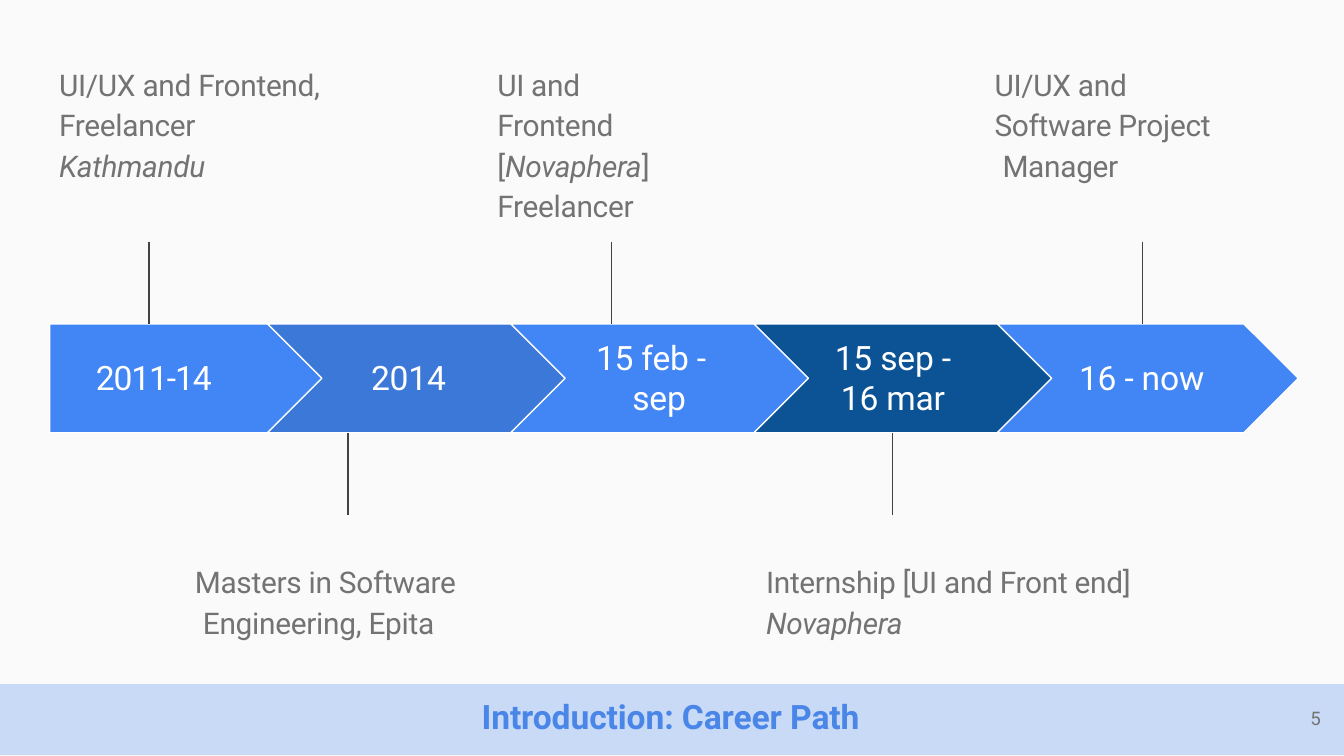
from dataclasses import dataclass

from pptx import Presentation
from pptx.dml.color import RGBColor
from pptx.enum.shapes import MSO_CONNECTOR, MSO_SHAPE
from pptx.enum.text import MSO_ANCHOR, PP_ALIGN
from pptx.oxml.ns import qn
from pptx.util import Inches, Pt
from lxml import etree

STRAIGHT = MSO_CONNECTOR.STRAIGHT
PENTAGON, CHEVRON, RECTANGLE = MSO_SHAPE.PENTAGON, MSO_SHAPE.CHEVRON, MSO_SHAPE.RECTANGLE
MIDDLE = MSO_ANCHOR.MIDDLE
LEFT, CENTER = PP_ALIGN.LEFT, PP_ALIGN.CENTER


@dataclass(frozen=True)
class Theme:
    font: str = "Roboto"
    paper: str = "FAFAFA"
    white: str = "FFFFFF"
    blue: str = "4285F4"
    mid_blue: str = "3C78D8"
    dark_blue: str = "0B5394"
    band: str = "C9DAF7"
    title: str = "4A86E7"
    grey: str = "737373"
    stem: str = "424242"
    heading_size: int = 18
    caption_size: int = 16
    number_size: int = 10
    hairline: float = 0.75


T = Theme()

# Timeline geometry in inches
ARROW_TOP, ARROW_H = 2.41, 0.81
FIRST_LEFT, FIRST_W = 0.37, 2.05
CHEVRON_LEFT, CHEVRON_W, CHEVRON_STEP = 1.99, 2.24, 1.81
STEM_H = 0.61
ABOVE_TOP, BELOW_TOP = 0.45, 4.15

# Period lines, fill, letter spacing in points, right margin, indent of the last line
PERIODS = [
    (["2011-14"], T.blue, -0.6, 0.3, 0),
    (["2014"], T.mid_blue, -0.1, 0.14, 0),
    (["15 feb -", "sep"], T.blue, -0.1, 0.15, 0.12),
    (["15 sep -", "16 mar"], T.dark_blue, -0.1, 0.17, 0),
    (["16 - now"], T.blue, -0.1, 0.09, 0),
]

# Left, width, stem x, above the arrows, lines (*italic*), indent of the last line
CAPTIONS = [
    (0.43, 2.01, 1.11, True, ["UI/UX and Frontend,", "Freelancer", "*Kathmandu*"], 0),
    (1.44, 2.01, 2.59, False, ["Masters in Software", "Engineering, Epita"], 0.06),
    (3.69, 1.59, 4.55, True, ["UI and", "Frontend", "[*Novaphera*]", "Freelancer"], 0),
    (5.69, 2.8, 6.64, False, ["Internship [UI and Front end]", "*Novaphera*"], 0),
    (7.39, 1.67, 8.5, True, ["UI/UX and", "Software Project", "Manager"], 0.06),
]


def rgb(value):
    return RGBColor.from_string(value)


def write_lines(tf, lines, size, color, align=LEFT, bold=False, spacing=-0.1,
                leading=None, last_indent=0):
    """One paragraph per line; text between asterisks is italic."""
    for i, line in enumerate(lines):
        p = tf.paragraphs[0] if i == 0 else tf.add_paragraph()
        p.alignment = align
        p.line_spacing = leading
        for j, part in enumerate(line.split("*")):
            if not part:
                continue
            r = p.add_run()
            r.text = part
            r.font.name, r.font.size = T.font, Pt(size)
            r.font.bold, r.font.italic = bold, j % 2 == 1
            r.font.color.rgb = rgb(color)
            r.font._element.set("spc", str(round(spacing * 100)))
    if last_indent:
        p._p.get_or_add_pPr().set("marL", str(Inches(last_indent)))


def set_margins(tf, left=0, top=0, right=0, bottom=0):
    tf.margin_left, tf.margin_top = Inches(left), Inches(top)
    tf.margin_right, tf.margin_bottom = Inches(right), Inches(bottom)


def add_block(s, preset, left, top, width, height, fill, line=None):
    sp = s.shapes.add_shape(preset, Inches(left), Inches(top), Inches(width), Inches(height))
    sp.shadow.inherit = False
    sp.fill.solid()
    sp.fill.fore_color.rgb = rgb(fill)
    if line:
        sp.line.color.rgb = rgb(line)
        sp.line.width = Pt(T.hairline)
    else:
        sp.line.fill.background()
    sp.text_frame.vertical_anchor = MIDDLE
    return sp


def add_text(s, left, top, width, height, lines, size, **style):
    sp = s.shapes.add_textbox(Inches(left), Inches(top), Inches(width), Inches(height))
    tf = sp.text_frame
    tf.word_wrap = True
    set_margins(tf, left=0.01, top=0.01)
    write_lines(tf, lines, size, T.grey, **style)


def add_period(s, i, lines, fill, spacing, right, indent):
    if i == 0:
        preset, left, width = PENTAGON, FIRST_LEFT, FIRST_W
    else:
        preset, width = CHEVRON, CHEVRON_W
        left = CHEVRON_LEFT + (i - 1) * CHEVRON_STEP
    sp = add_block(s, preset, left, ARROW_TOP, width, ARROW_H, fill, T.white)
    set_margins(sp.text_frame, right=right, bottom=0.02)
    write_lines(sp.text_frame, lines, T.heading_size, T.white, CENTER,
                spacing=spacing, last_indent=indent)


def add_stem(s, x, above):
    y = ARROW_TOP - STEM_H if above else ARROW_TOP + ARROW_H
    line = s.shapes.add_connector(STRAIGHT, Inches(x), Inches(y), Inches(x), Inches(y + STEM_H))
    line.line.color.rgb = rgb(T.stem)
    line.line.width = Pt(T.hairline)
    etree.SubElement(line._element.spPr, qn("a:effectLst"))


def add_caption(s, left, width, stem_x, above, lines, indent):
    add_stem(s, stem_x, above)
    top = ABOVE_TOP if above else BELOW_TOP
    add_text(s, left, top, width, 0.31 * len(lines), lines, T.caption_size,
             spacing=-0.15, leading=1.13, last_indent=indent)


def add_footer(s):
    band = add_block(s, RECTANGLE, 0, 5.09, 10, 0.53, T.band)
    set_margins(band.text_frame, right=0.02, bottom=0.05)
    write_lines(band.text_frame, ["Introduction: Career Path"], T.heading_size, T.title,
                CENTER, bold=True, spacing=-0.05)
    add_text(s, 9.74, 5.25, 0.11, 0.19, ["5"], T.number_size)


def main():
    prs = Presentation()
    prs.slide_width = Inches(10)
    prs.slide_height = prs.slide_width * 9 // 16
    s = prs.slides.add_slide(prs.slide_layouts[6])
    s.background.fill.solid()
    s.background.fill.fore_color.rgb = rgb(T.paper)

    # Timeline arrows
    for i, period in enumerate(PERIODS):
        add_period(s, i, *period)

    # Stems and captions
    for caption in CAPTIONS:
        add_caption(s, *caption)

    # Title band and page number
    add_footer(s)
    prs.save("out.pptx")


if __name__ == "__main__":
    main()
